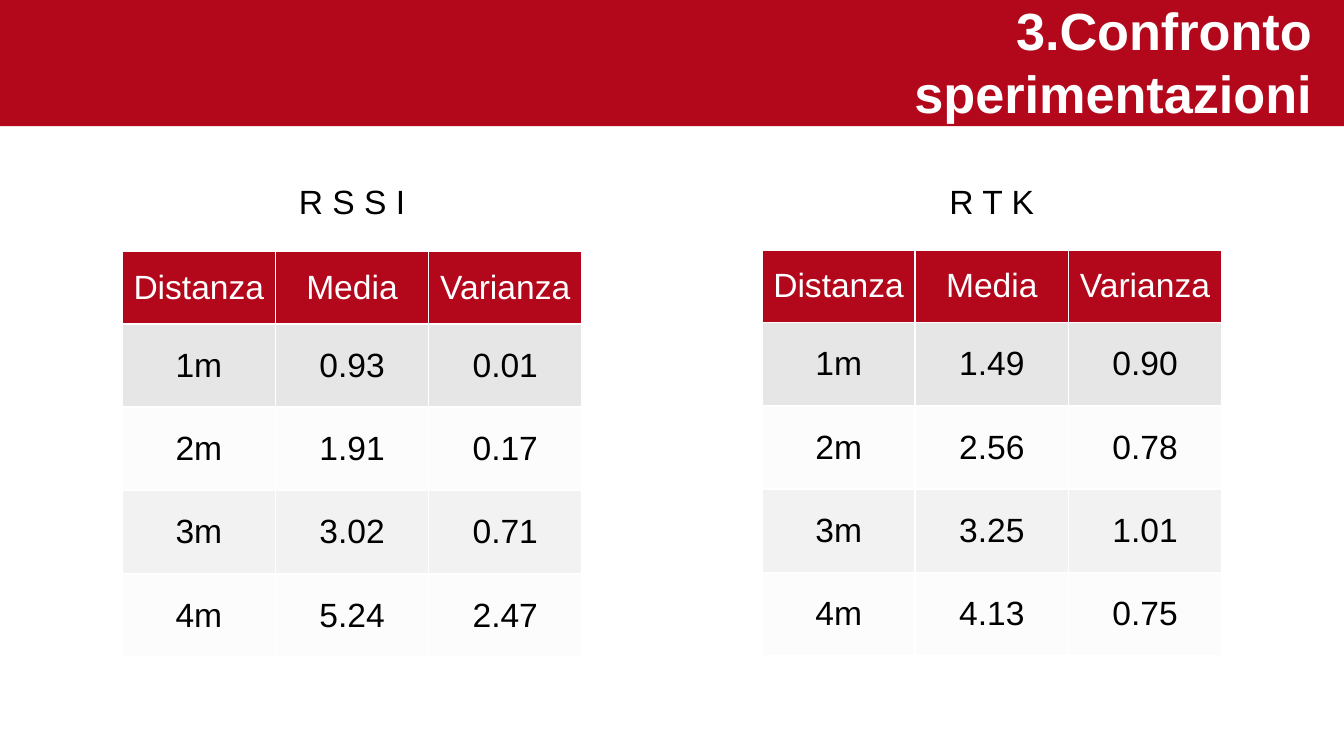
import dataclasses
import typing

import lxml.etree
import pptx
import pptx.dml.color
import pptx.enum.shapes
import pptx.enum.text
import pptx.oxml.ns
import pptx.util

Inches = pptx.util.Inches
Align = pptx.enum.text.PP_ALIGN
Anchor = pptx.enum.text.MSO_ANCHOR
Fit = pptx.enum.text.MSO_AUTO_SIZE


@dataclasses.dataclass(frozen=True)
class Theme:
    font: str = "Arial"
    red: str = "B3071B"
    white: str = "FFFFFF"
    black: str = "000000"
    bands: tuple[str, ...] = ("E6E6E6", "FCFCFC", "F2F2F2", "FCFCFC")
    head: float = 28
    body: float = 18
    rule: float = 1


@dataclasses.dataclass(frozen=True)
class Panel:
    name: str
    left: float
    top: float
    label: float
    width: float
    rows: tuple[tuple[str, str, str], ...]


THEME = Theme()
HEADS = ("Distanza", "Media", "Varianza")
COL = 1.14
HEIGHTS = (0.54, 0.62, 0.62, 0.62, 0.62)
PANELS = (
    Panel("R S S I", 0.91, 1.87, 2.09, 1.06, (
        ("1m", "0.93", "0.01"),
        ("2m", "1.91", "0.17"),
        ("3m", "3.02", "0.71"),
        ("4m", "5.24", "2.47"),
    )),
    Panel("R T K", 5.67, 1.86, 6.76, 1.24, (
        ("1m", "1.49", "0.90"),
        ("2m", "2.56", "0.78"),
        ("3m", "3.25", "1.01"),
        ("4m", "4.13", "0.75"),
    )),
)


def paint(fill: typing.Any, tint: str) -> None:
    fill.solid()
    fill.fore_color.rgb = pptx.dml.color.RGBColor.from_string(tint)


def write(frame: typing.Any, text: str, tint: str, size: float = THEME.body,
          align: typing.Any = Align.CENTER, bold: bool = False) -> None:
    para = frame.paragraphs[0]
    para.alignment = align
    run = para.add_run()
    run.text = text
    font = run.font
    font.name = THEME.font
    font.size = pptx.util.Pt(size)
    font.bold = bold
    font.color.rgb = pptx.dml.color.RGBColor.from_string(tint)


def border(cell: typing.Any) -> None:
    qn = pptx.oxml.ns.qn
    props = cell._tc.get_or_add_tcPr()
    for spot, side in enumerate(("lnL", "lnR", "lnT", "lnB")):
        line = lxml.etree.Element(qn(f"a:{side}"), w=str(pptx.util.Pt(THEME.rule)))
        fill = lxml.etree.SubElement(line, qn("a:solidFill"))
        lxml.etree.SubElement(fill, qn("a:srgbClr"), val=THEME.white)
        props.insert(spot, line)


def draw_band(slide: typing.Any) -> None:
    band = slide.shapes.add_shape(
        pptx.enum.shapes.MSO_SHAPE.RECTANGLE,
        Inches(-0.11), Inches(0), Inches(10.22), Inches(0.94))
    band.shadow.inherit = False
    paint(band.fill, THEME.red)
    band.line.fill.background()
    slide.shapes._spTree.insert(2, band._element)


def draw_title(slide: typing.Any, text: str) -> None:
    title = slide.shapes.title
    title.left, title.top = Inches(4.53), Inches(0)
    title.width, title.height = Inches(5.47), Inches(0.92)
    frame = title.text_frame
    frame.word_wrap = True
    frame.auto_size = Fit.NONE
    frame.vertical_anchor = Anchor.MIDDLE
    frame.margin_left, frame.margin_right = Inches(0.1), Inches(0.24)
    frame.margin_top, frame.margin_bottom = Inches(0.04), Inches(0.05)
    write(frame, text, THEME.white, THEME.head, Align.RIGHT, True)


def draw_panel(slide: typing.Any, panel: Panel) -> None:
    label = slide.shapes.add_textbox(
        Inches(panel.label), Inches(1.3), Inches(panel.width), Inches(0.4))
    label.text_frame.word_wrap = True
    label.text_frame.auto_size = Fit.SHAPE_TO_FIT_TEXT
    write(label.text_frame, panel.name, THEME.black)

    grid = (HEADS, *panel.rows)
    table = slide.shapes.add_table(
        len(grid), len(HEADS), Inches(panel.left), Inches(panel.top),
        Inches(COL * len(HEADS)), Inches(sum(HEIGHTS))).table
    for col in table.columns:
        col.width = Inches(COL)
    for row, tall in zip(table.rows, HEIGHTS):
        row.height = Inches(tall)
    for r, (texts, tint) in enumerate(zip(grid, (THEME.red, *THEME.bands))):
        for c, text in enumerate(texts):
            cell = table.cell(r, c)
            cell.vertical_anchor = Anchor.MIDDLE
            cell.margin_left = cell.margin_right = Inches(0.08)
            cell.margin_top = cell.margin_bottom = Inches(0.03)
            paint(cell.fill, tint)
            border(cell)
            write(cell.text_frame, text, THEME.black if r else THEME.white)


def main() -> None:
    deck = pptx.Presentation()
    deck.slide_width = Inches(10)
    deck.slide_height = Inches(10 * 9 / 16)
    slide = deck.slides.add_slide(deck.slide_layouts[5])
    paint(slide.background.fill, THEME.white)
    draw_band(slide)
    draw_title(slide, "3.Confronto sperimentazioni")
    for panel in PANELS:
        draw_panel(slide, panel)
    deck.save("out.pptx")


if __name__ == "__main__":
    main()
